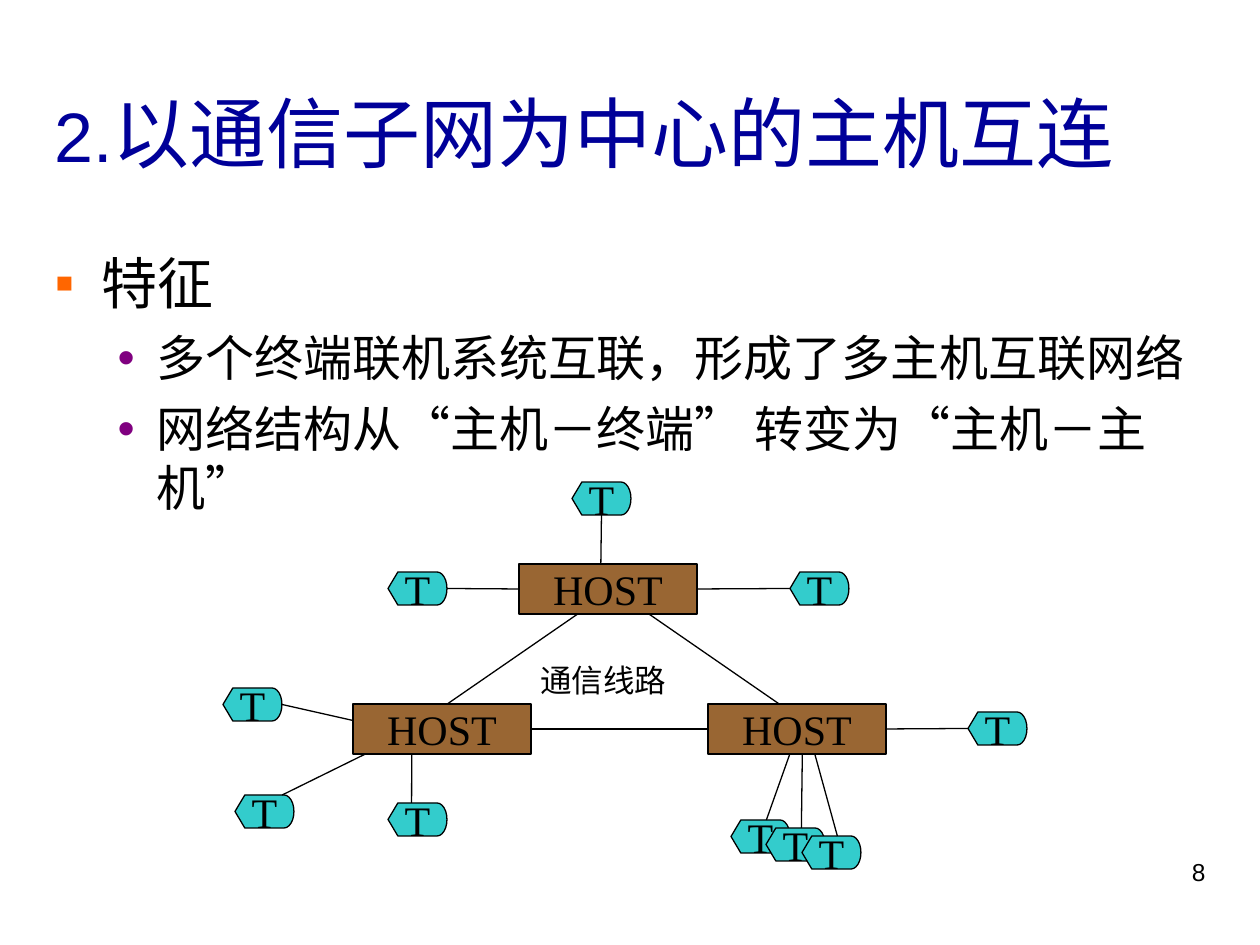
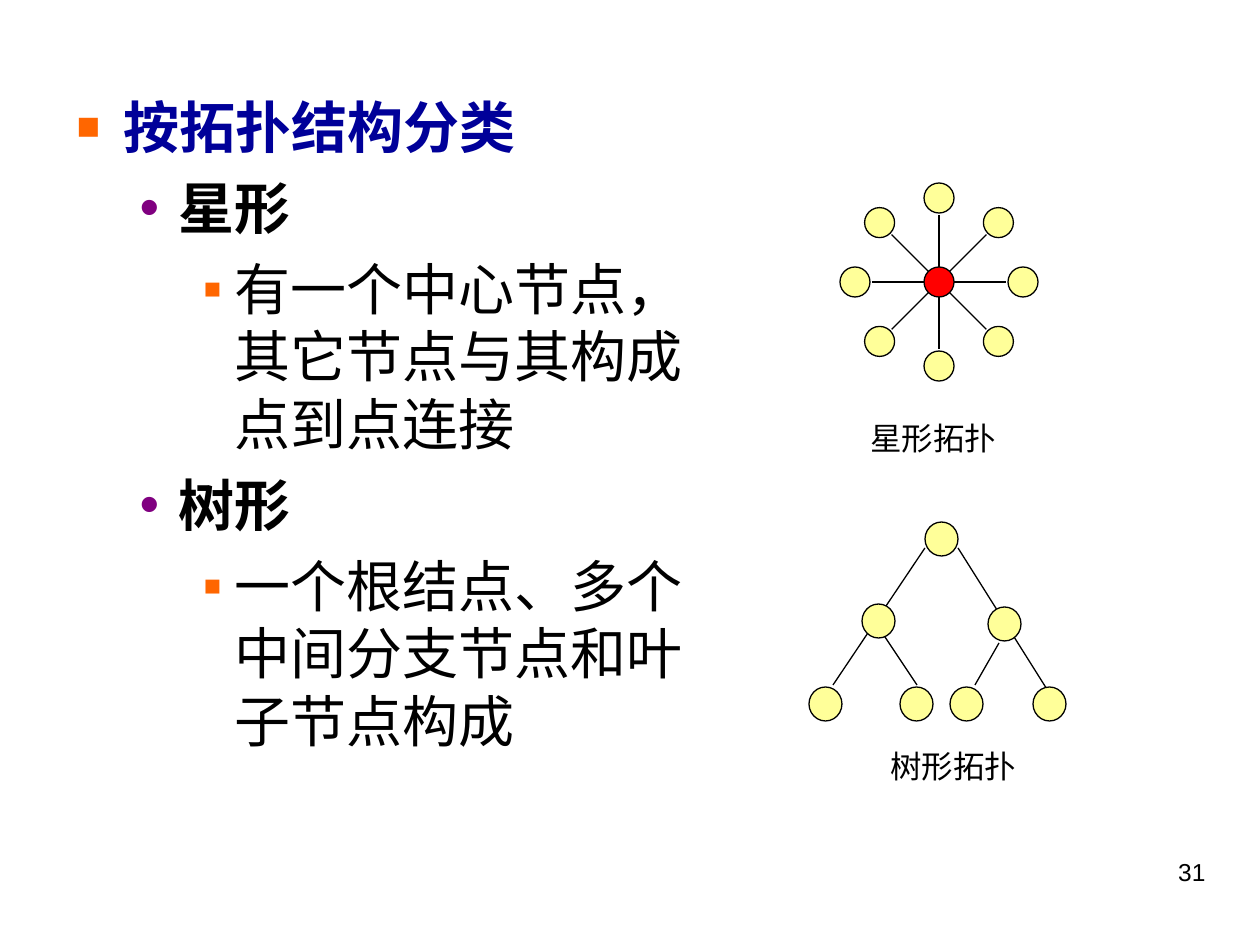
import math
from collections import namedtuple
from dataclasses import dataclass

import lxml.etree
import pptx
import pptx.dml.color
import pptx.enum.lang
import pptx.enum.shapes
import pptx.enum.text
import pptx.oxml.ns
import pptx.util

PX = 914400 / 126
SHAPE = pptx.enum.shapes.MSO_SHAPE
ALIGN = pptx.enum.text.PP_ALIGN
ANCHOR = pptx.enum.text.MSO_ANCHOR

Box = namedtuple("Box", "left top width height")
Bullet = namedtuple("Bullet", "char color percent", defaults=(100,))


@dataclass(frozen=True)
class Theme:
    ink: str = "000000"
    heading: str = "000099"
    square: str = "FF6600"
    dot: str = "800080"
    host: str = "996633"
    terminal: str = "33CCCC"
    node: str = "FFFF99"
    hub: str = "FF0000"
    sans: str = "Arial"
    serif: str = "Times New Roman"
    title_number: int = 40
    title: int = 44
    topic: int = 32
    point: int = 28
    device: int = 24
    caption: int = 18
    page: int = 14
    line: float = 0.75


THEME = Theme()
SMALL_SQUARE = Bullet("▪", THEME.square)
BIG_SQUARE = Bullet("■", THEME.square, 70)
DOT = Bullet("•", THEME.dot)
INDENTS = ((47, -47), (102, -39), (158, -32))

HOST_SIZE = (178, 50)
TERMINAL_SIZE = (59, 33)
HOSTS = {"top": (296, 82), "right": (485, 222), "left": (130, 222)}
TRUNKS = (
    ("top", (0.33, 1), "left", (0.53, 0)),
    ("top", (0.73, 1), "right", (0.4, 0)),
    ("left", (1, 0.5), "right", (0, 0.5)),
)
TERMINALS = [
    ((165, 90), (1, 0.5), "top", (0, 0.5)),
    ((349, 0), (0.5, 1), "top", (0.46, 0)),
    ((567, 90), (0, 0.5), "top", (1, 0.5)),
    ((0, 206), (1, 0.5), "left", (0, 0.33)),
    ((12, 313), (0.8, 0), "left", (0.07, 1)),
    ((165, 321), (0.4, 0), "left", (0.33, 1)),
    ((745, 230), (0, 0.5), "right", (1, 0.5)),
] + [
    ((508 + 71 * i // 2, 338 + 8 * i), (0.6, 0), "right", (0.46 + 0.07 * i, 1))
    for i in range(3)
]

STAR_NODE = 30
STAR_RADIUS = 84
STAR_SPOKE = 67
STAR_ARMS = 8

TREE_NODE = (33, 34)
TREE_NODES = [(116, 0), (53, 82), (179, 85)] + [(x, 165) for x in (0, 91, 141, 224)]
TREE_BRANCHES = (
    ((116, 26), (24, 163)),
    ((149, 26), (241, 172)),
    ((74, 112), (108, 163)),
    ((190, 121), (166, 163)),
)


def px(length):
    return pptx.util.Emu(round(length * PX))


def rgb(color):
    return pptx.dml.color.RGBColor.from_string(color)


def add_run(paragraph, text, size, font, color=THEME.ink, bold=False):
    run = paragraph.add_run()
    run.text = text
    run.font.size = pptx.util.Pt(size)
    run.font.name = font
    run.font.bold = bold
    run.font.color.rgb = rgb(color)
    run.font.language_id = pptx.enum.lang.MSO_LANGUAGE_ID.SIMPLIFIED_CHINESE


def set_bullet(paragraph, bullet):
    properties = paragraph._p.get_or_add_pPr()
    margin, indent = INDENTS[paragraph.level]
    properties.set("marL", str(px(margin)))
    properties.set("indent", str(px(indent)))

    def child(parent, tag, **attributes):
        return lxml.etree.SubElement(parent, pptx.oxml.ns.qn(tag), **attributes)

    child(child(properties, "a:buClr"), "a:srgbClr", val=bullet.color)
    child(properties, "a:buSzPct", val=str(bullet.percent * 1000))
    child(properties, "a:buFont", typeface=THEME.sans)
    child(properties, "a:buChar", char=bullet.char)


def place(placeholder, box):
    placeholder.left, placeholder.top, placeholder.width, placeholder.height = map(px, box)
    frame = placeholder.text_frame
    frame.word_wrap = True
    frame.auto_size = pptx.enum.text.MSO_AUTO_SIZE.NONE
    return frame


def add_title(slide, box, number, heading):
    frame = place(slide.shapes.title, box)
    frame.vertical_anchor = ANCHOR.MIDDLE
    paragraph = frame.paragraphs[0]
    paragraph.alignment = ALIGN.LEFT
    add_run(paragraph, number, THEME.title_number, THEME.sans, THEME.heading)
    add_run(paragraph, heading, THEME.title, THEME.serif, THEME.heading)


def add_outline(slide, box, items, space):
    frame = place(slide.placeholders[1], box)
    frame.vertical_anchor = ANCHOR.TOP
    for index, (level, bullet, text, size, color, bold) in enumerate(items):
        paragraph = frame.add_paragraph() if index else frame.paragraphs[0]
        paragraph.level = level
        paragraph.space_before = pptx.util.Pt(space if index else 0)
        set_bullet(paragraph, bullet)
        add_run(paragraph, text, size, THEME.sans, color, bold)


def add_label(shapes, box, text, size, font, align=ALIGN.LEFT, wrap=True):
    frame = shapes.add_textbox(*map(px, box)).text_frame
    frame.word_wrap = wrap
    frame.paragraphs[0].alignment = align
    add_run(frame.paragraphs[0], text, size, font)


def add_page_number(slide, number):
    add_label(slide.shapes, Box(903, 851, 315, 66), number, THEME.page, THEME.sans, ALIGN.RIGHT)


def add_node(shapes, kind, box, fill, text=None):
    node = shapes.add_shape(kind, *map(px, box))
    node.shadow.inherit = False
    node.fill.solid()
    node.fill.fore_color.rgb = rgb(fill)
    node.line.color.rgb = rgb(THEME.ink)
    node.line.width = pptx.util.Pt(THEME.line)
    if text:
        frame = node.text_frame
        frame.word_wrap = False
        frame.vertical_anchor = ANCHOR.MIDDLE
        frame.paragraphs[0].alignment = ALIGN.CENTER
        add_run(frame.paragraphs[0], text, THEME.device, THEME.serif)


def add_link(shapes, start, end):
    link = shapes.add_connector(
        pptx.enum.shapes.MSO_CONNECTOR.STRAIGHT, *map(px, (*start, *end))
    )
    link.line.color.rgb = rgb(THEME.ink)
    link.line.width = pptx.util.Pt(THEME.line)
    lxml.etree.SubElement(link._element.spPr, pptx.oxml.ns.qn("a:effectLst"))


def shift(box, point):
    return box.left + point[0], box.top + point[1]


def port(box, fraction):
    return box.left + box.width * fraction[0], box.top + box.height * fraction[1]


def draw_host_network(slide, box):
    shapes = slide.shapes.add_group_shape().shapes
    hosts = {name: Box(*shift(box, spot), *HOST_SIZE) for name, spot in HOSTS.items()}
    for host in hosts.values():
        add_node(shapes, SHAPE.RECTANGLE, host, THEME.host, "HOST")
    for start, start_port, end, end_port in TRUNKS:
        add_link(shapes, port(hosts[start], start_port), port(hosts[end], end_port))
    for spot, terminal_port, host, host_port in TERMINALS:
        terminal = Box(*shift(box, spot), *TERMINAL_SIZE)
        add_node(shapes, SHAPE.FLOWCHART_DISPLAY, terminal, THEME.terminal, "T")
        add_link(shapes, port(terminal, terminal_port), port(hosts[host], host_port))
    add_label(shapes, Box(*shift(box, (305, 173)), 151, 50), "通信线路",
              THEME.caption, THEME.serif, ALIGN.CENTER, wrap=False)


def draw_star(slide, box):
    shapes = slide.shapes.add_group_shape().shapes
    center = port(box, (0.5, 0.5))

    def polar(arm, radius):
        angle = 2 * math.pi * arm / STAR_ARMS
        return center[0] + radius * math.cos(angle), center[1] + radius * math.sin(angle)

    def add_circle(middle, fill):
        corner = (middle[0] - STAR_NODE / 2, middle[1] - STAR_NODE / 2)
        add_node(shapes, SHAPE.OVAL, Box(*corner, STAR_NODE, STAR_NODE), fill)

    for arm in range(STAR_ARMS // 2):
        add_link(shapes, polar(arm, -STAR_SPOKE), polar(arm, STAR_SPOKE))
    for arm in range(STAR_ARMS):
        add_circle(polar(arm, STAR_RADIUS), THEME.node)
    add_circle(center, THEME.hub)
    add_label(slide.shapes, Box(*shift(box, (18, 230)), 169, 50), "星形拓扑",
              THEME.caption, THEME.sans)


def draw_tree(slide, box):
    shapes = slide.shapes.add_group_shape().shapes
    for start, end in TREE_BRANCHES:
        add_link(shapes, shift(box, start), shift(box, end))
    for spot in TREE_NODES:
        add_node(shapes, SHAPE.OVAL, Box(*shift(box, spot), *TREE_NODE), THEME.node)
    add_label(slide.shapes, Box(*shift(box, (69, 219)), 159, 50), "树形拓扑",
              THEME.caption, THEME.sans)


def build_host_slide(deck):
    slide = deck.slides.add_slide(deck.slide_layouts[1])
    add_title(slide, Box(42, 53, 1177, 158), "2.", "以通信子网为中心的主机互连")
    points = ("多个终端联机系统互联，形成了多主机互联网络",
              "网络结构从“主机－终端” 转变为“主机－主机”")
    items = [(0, SMALL_SQUARE, "特征", THEME.topic, THEME.ink, False)]
    items += [(1, DOT, point, THEME.point, THEME.ink, False) for point in points]
    add_outline(slide, Box(42, 242, 1177, 294), items, 7)
    draw_host_network(slide, Box(223, 482, 804, 387))
    add_page_number(slide, "8")


def build_topology_slide(deck):
    slide = deck.slides.add_slide(deck.slide_layouts[1])
    title = slide.shapes.title.element
    title.getparent().remove(title)
    topologies = (("星形", "有一个中心节点，其它节点与其构成点到点连接"),
                  ("树形", "一个根结点、多个中间分支节点和叶子节点构成"))
    items = [(0, BIG_SQUARE, "按拓扑结构分类", THEME.topic, THEME.heading, True)]
    for topology, description in topologies:
        items.append((1, DOT, topology, THEME.topic, THEME.ink, True))
        items.append((2, SMALL_SQUARE, description, THEME.topic, THEME.ink, False))
    add_outline(slide, Box(64, 86, 685, 779), items, 8)
    draw_star(slide, Box(840, 183, 198, 198))
    draw_tree(slide, Box(809, 522, 257, 199))
    add_page_number(slide, "31")


def main():
    deck = pptx.Presentation()
    deck.slide_width, deck.slide_height = px(1260), px(945)
    build_host_slide(deck)
    build_topology_slide(deck)
    deck.save("out.pptx")


if __name__ == "__main__":
    main()
